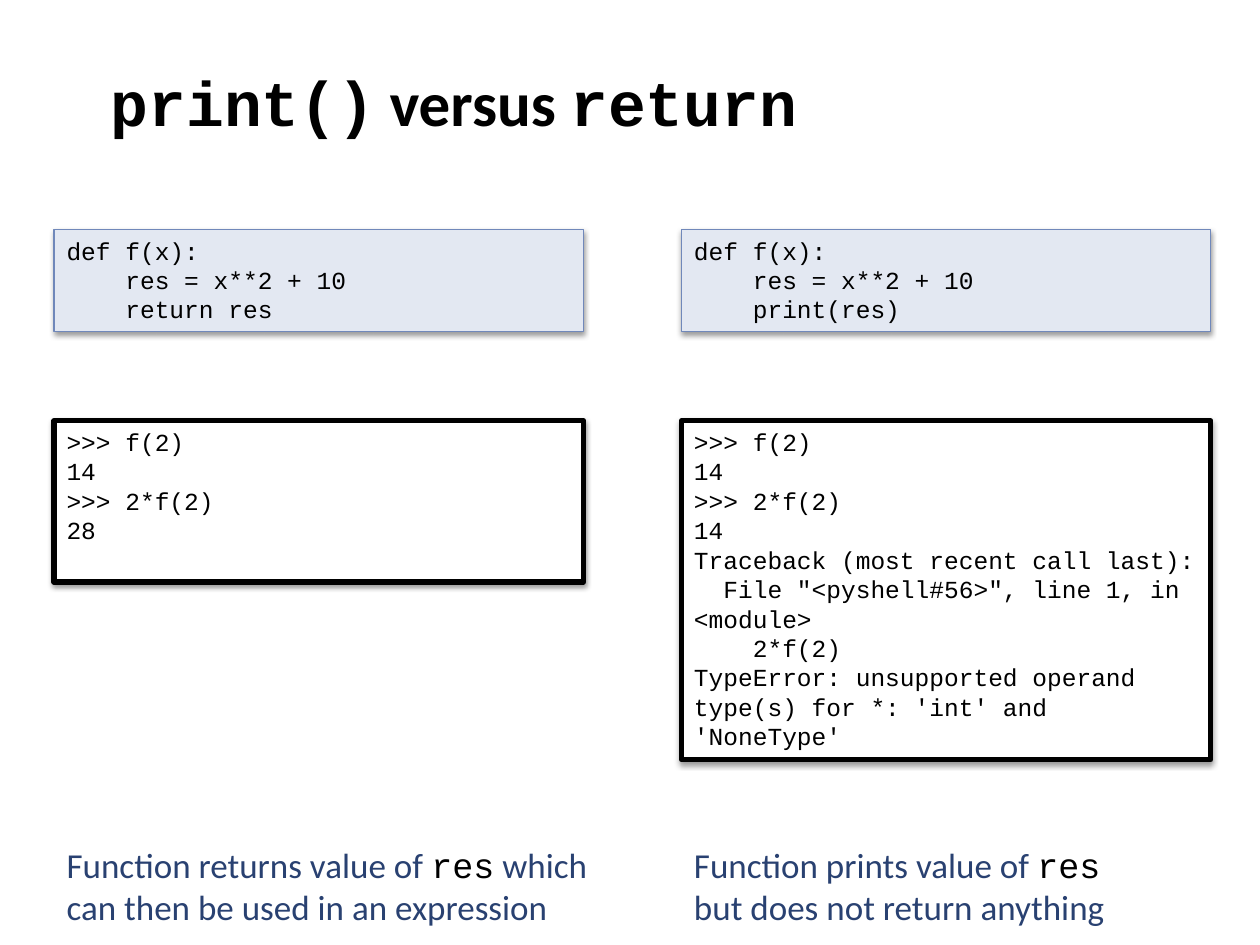
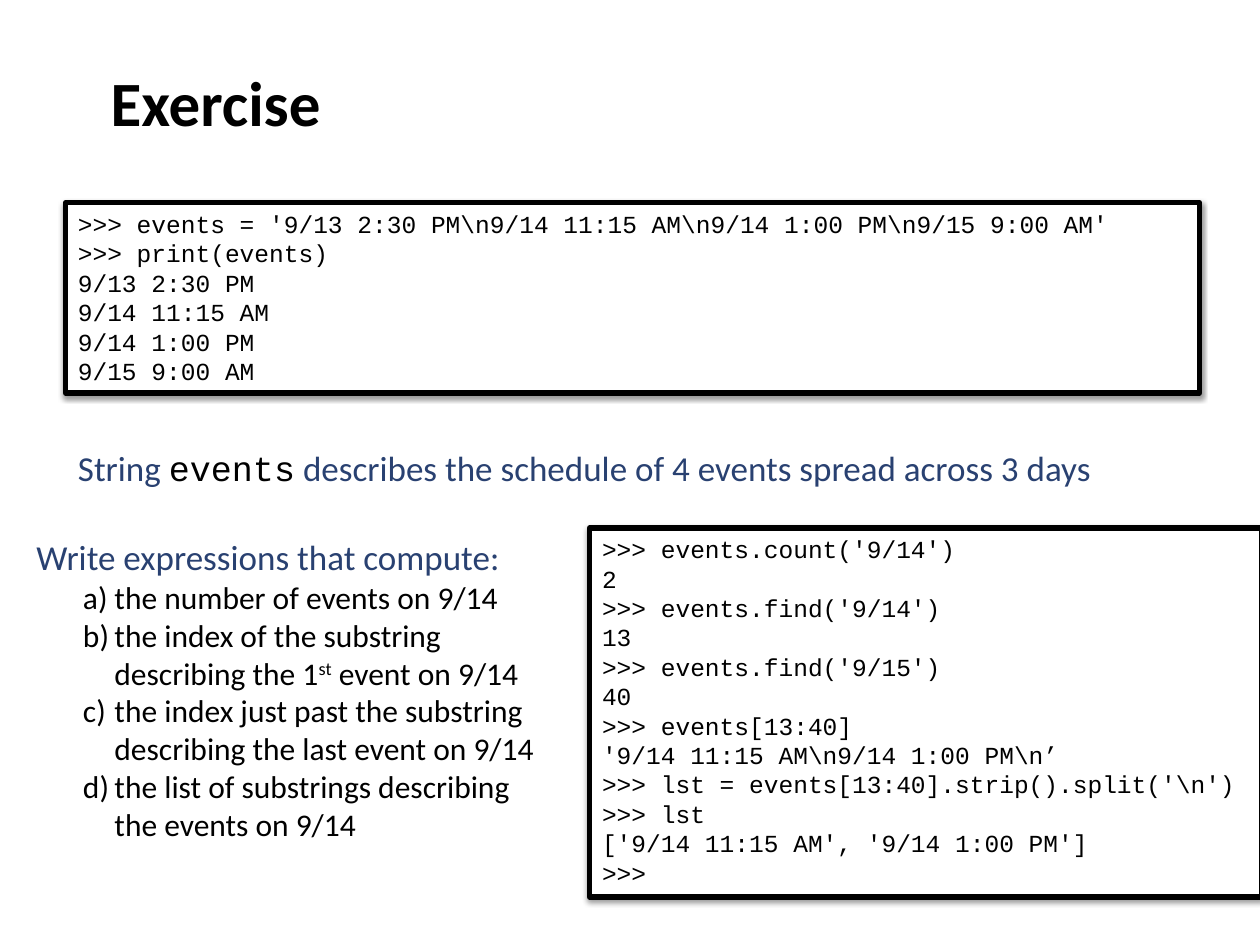
"""Build two lecture slides: print() versus return, and a string exercise."""
from lxml.etree import SubElement
from pptx import Presentation
from pptx.dml.color import RGBColor
from pptx.enum.shapes import MSO_SHAPE as Preset
from pptx.enum.text import MSO_ANCHOR as Anchor, PP_ALIGN as Align
from pptx.oxml.ns import qn
from pptx.util import Emu, Inches, Pt

BLACK = RGBColor(0x00, 0x00, 0x00)
WHITE = RGBColor(0xFF, 0xFF, 0xFF)
NAVY = RGBColor(0x29, 0x41, 0x71)
PALE_BLUE = RGBColor(0xE3, 0xE8, 0xF2)
MID_BLUE = RGBColor(0x70, 0x88, 0xBA)
PROSE, CODE = "Calibri", "Courier New"
COLUMNS, ROWS = 100, 75
LEFT, RIGHT, HALF = 4.3, 54.1, 42
MARGIN, FULL = 5.2, 90


class Deck:
    """Hold the shared style and the current slide."""

    def __init__(self):
        self.presentation = Presentation()
        self.presentation.slide_width = Inches(10)
        self.presentation.slide_height = Inches(7.5)
        self.slide = None

    def place(self, left, top, width, height):
        column = self.presentation.slide_width / COLUMNS
        row = self.presentation.slide_height / ROWS
        return [Emu(round(value)) for value in
                (left * column, top * row, width * column, height * row)]

    def run(self, paragraph, text, size, font=PROSE, color=BLACK, bold=False):
        run = paragraph.add_run()
        run.text = text
        run.font.size = Pt(size)
        run.font.name = font
        run.font.bold = bold
        run.font.color.rgb = color
        return run

    def mixed(self, paragraph, parts, size, color, bold=False):
        for index, part in enumerate(parts):
            if index % 2:
                self.run(paragraph, part, size, CODE, BLACK, bold)
            elif part:
                self.run(paragraph, part, size, PROSE, color, bold)

    def paragraphs(self, frame, count):
        for _ in range(count - 1):
            frame.add_paragraph()
        return frame.paragraphs

    def text_frame(self, position, wrap=True):
        frame = self.slide.shapes.add_textbox(*self.place(*position)).text_frame
        frame.word_wrap = wrap
        frame.vertical_anchor = Anchor.MIDDLE
        return frame

    def new_slide(self, *title_parts):
        self.slide = self.presentation.slides.add_slide(
            self.presentation.slide_layouts[6])
        frame = self.text_frame((7.8, 0, 85, 16.1))
        self.mixed(frame.paragraphs[0], title_parts, 36, BLACK, True)

    def note(self, position, *lines, wrap=True):
        frame = self.text_frame(position, wrap)
        for paragraph, parts in zip(self.paragraphs(frame, len(lines)), lines):
            self.mixed(paragraph, parts, 20, NAVY)

    def box(self, position, lines, fill, line, weight):
        shape = self.slide.shapes.add_shape(Preset.RECTANGLE, *self.place(*position))
        shape.fill.solid()
        shape.fill.fore_color.rgb = fill
        shape.line.color.rgb = line
        shape.line.width = Pt(weight)
        self.soft_shadow(shape)
        frame = shape.text_frame
        frame.word_wrap = True
        frame.vertical_anchor = Anchor.TOP
        for paragraph, text in zip(self.paragraphs(frame, len(lines)), lines):
            paragraph.alignment = Align.LEFT
            self.run(paragraph, text, 14, CODE)

    def soft_shadow(self, shape):
        shape.shadow.inherit = False
        effects = shape._element.spPr.find(qn("a:effectLst"))
        shadow = SubElement(effects, qn("a:outerShdw"), blurRad=str(Pt(3.1)),
                            dist=str(Pt(1.6)), dir="5400000", rotWithShape="0")
        color = SubElement(shadow, qn("a:srgbClr"), val=str(BLACK))
        SubElement(color, qn("a:alpha"), val="38000")

    def definition(self, position, *lines):
        self.box(position, lines, PALE_BLUE, MID_BLUE, 0.75)

    def console(self, position, *lines):
        self.box(position, lines, WHITE, BLACK, 3)

    def lettered_list(self, position, heading, *items):
        frame = self.text_frame(position)
        first, *rest = self.paragraphs(frame, len(items) + 1)
        self.run(first, heading, 20, color=NAVY)
        for paragraph, parts in zip(rest, items):
            paragraph.level = 1
            properties = paragraph._p.get_or_add_pPr()
            properties.set("marL", str(Inches(0.62)))
            properties.set("indent", str(Inches(-0.25)))
            SubElement(properties, qn("a:buFont"), typeface="+mj-lt")
            SubElement(properties, qn("a:buAutoNum"), type="alphaLcParenR")
            for index, part in enumerate(parts):
                run = self.run(paragraph, part, 18)
                if index % 2:
                    run.font._element.set("baseline", "30000")


def build_comparison(deck):
    """Contrast a function that returns with one that prints."""
    deck.new_slide("", "print()", " versus ", "return")
    for left, last_line in ((LEFT, "return res"), (RIGHT, "print(res)")):
        deck.definition((left, 18.2, HALF, 8.1), "def f(x):",
                        "    res = x**2 + 10", f"    {last_line}")
    deck.note((LEFT, 66.4, 43.5, 7.7),
              ("Function returns value of ", "res",
               " which can then be used in an expression"))
    deck.note((RIGHT, 66.4, 35, 7.7),
              ("Function prints value of ", "res"),
              ("but does not return anything",), wrap=False)
    deck.console((LEFT, 33.4, HALF, 12.8), ">>> f(2)", "14", ">>> 2*f(2)", "28")
    deck.console((RIGHT, 33.4, HALF, 26.9), ">>> f(2)", "14", ">>> 2*f(2)", "14",
                 "Traceback (most recent call last):",
                 '  File "<pyshell#56>", line 1, in <module>',
                 "    2*f(2)",
                 "TypeError: unsupported operand type(s) for *: 'int' and 'NoneType'")


def build_exercise(deck):
    """Set the string exercise and show its answers."""
    deck.new_slide("Exercise")
    deck.console((MARGIN, 16.1, FULL, 15.1),
                 r">>> events = '9/13 2:30 PM\n9/14 11:15 AM\n9/14 1:00 PM\n9/15 9:00 AM'",
                 ">>> print(events)",
                 "9/13 2:30 PM", "9/14 11:15 AM", "9/14 1:00 PM", "9/15 9:00 AM")
    deck.console((46.8, 41.9, 53.3, 29.3),
                 ">>> events.count('9/14')", "2",
                 ">>> events.find('9/14')", "13",
                 ">>> events.find('9/15')", "40",
                 ">>> events[13:40]",
                 r"'9/14 11:15 AM\n9/14 1:00 PM\n’",
                 r">>> lst = events[13:40].strip().split('\n')",
                 ">>> lst", "['9/14 11:15 AM', '9/14 1:00 PM']", ">>>")
    deck.lettered_list((1.9, 41.9, 41.8, 25.6), "Write expressions that compute:",
                       ("the number of events on 9/14",),
                       ("the index of the substring describing the 1", "st",
                        " event on 9/14"),
                       ("the index just past the substring describing the last "
                        "event on 9/14",),
                       ("the list of substrings describing the events on 9/14",))
    deck.note((MARGIN, 34.9, 84.5, 4.4),
              ("String ", "events",
               " describes the schedule of 4 events spread across 3 days"),
              wrap=False)


def main():
    """Build both slides and save the file."""
    deck = Deck()
    build_comparison(deck)
    build_exercise(deck)
    deck.presentation.save("out.pptx")


if __name__ == "__main__":
    main()
